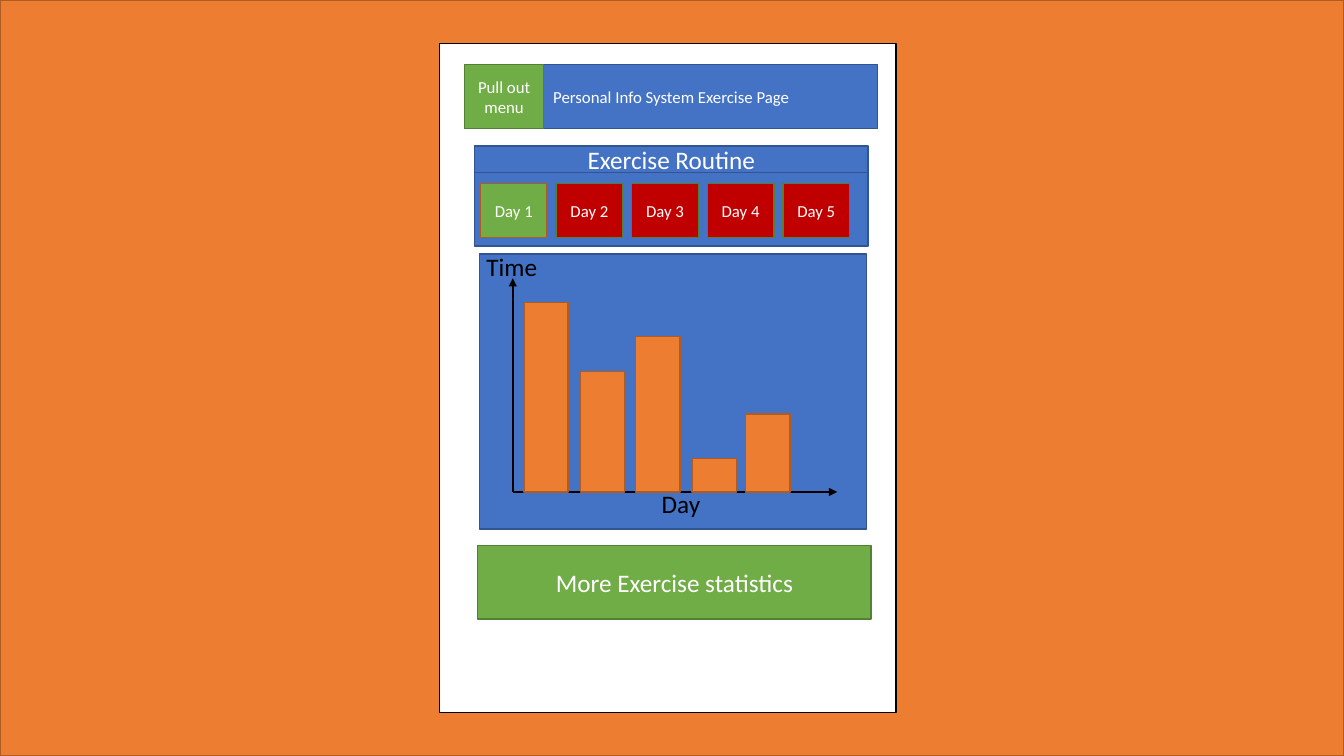
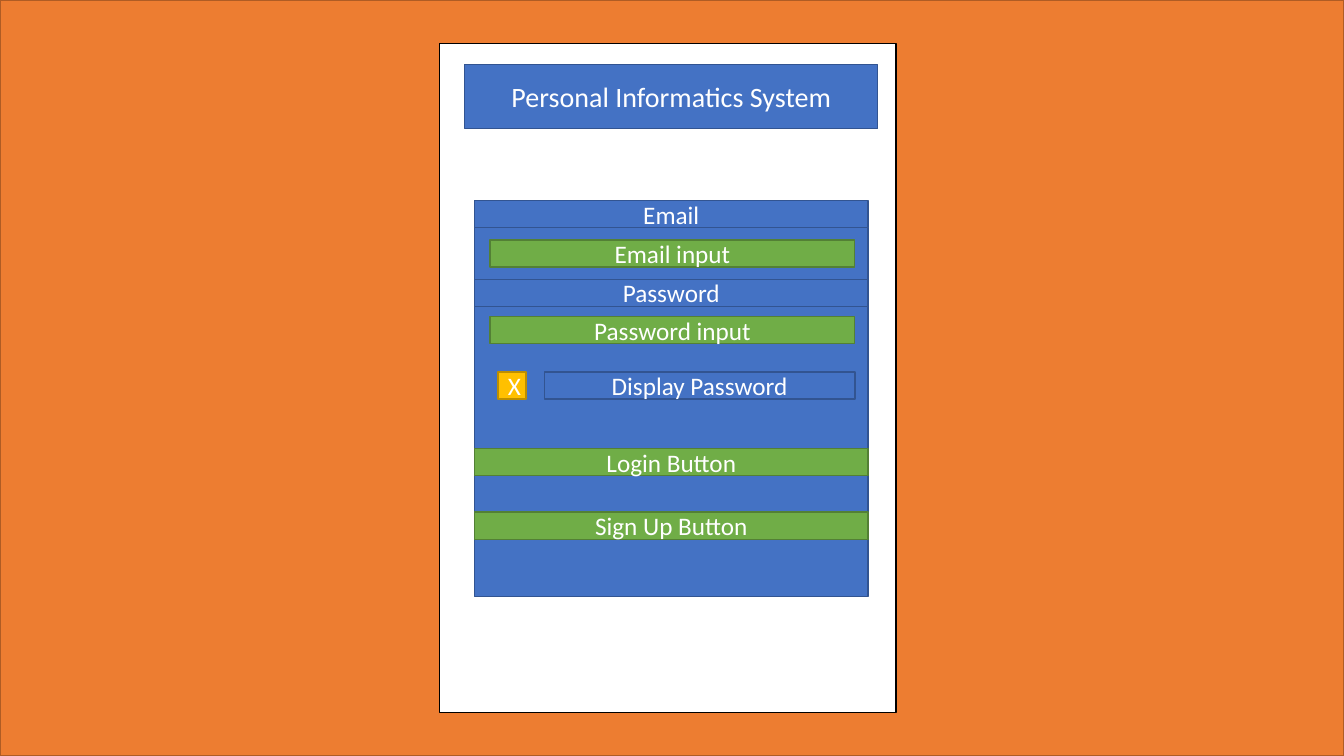
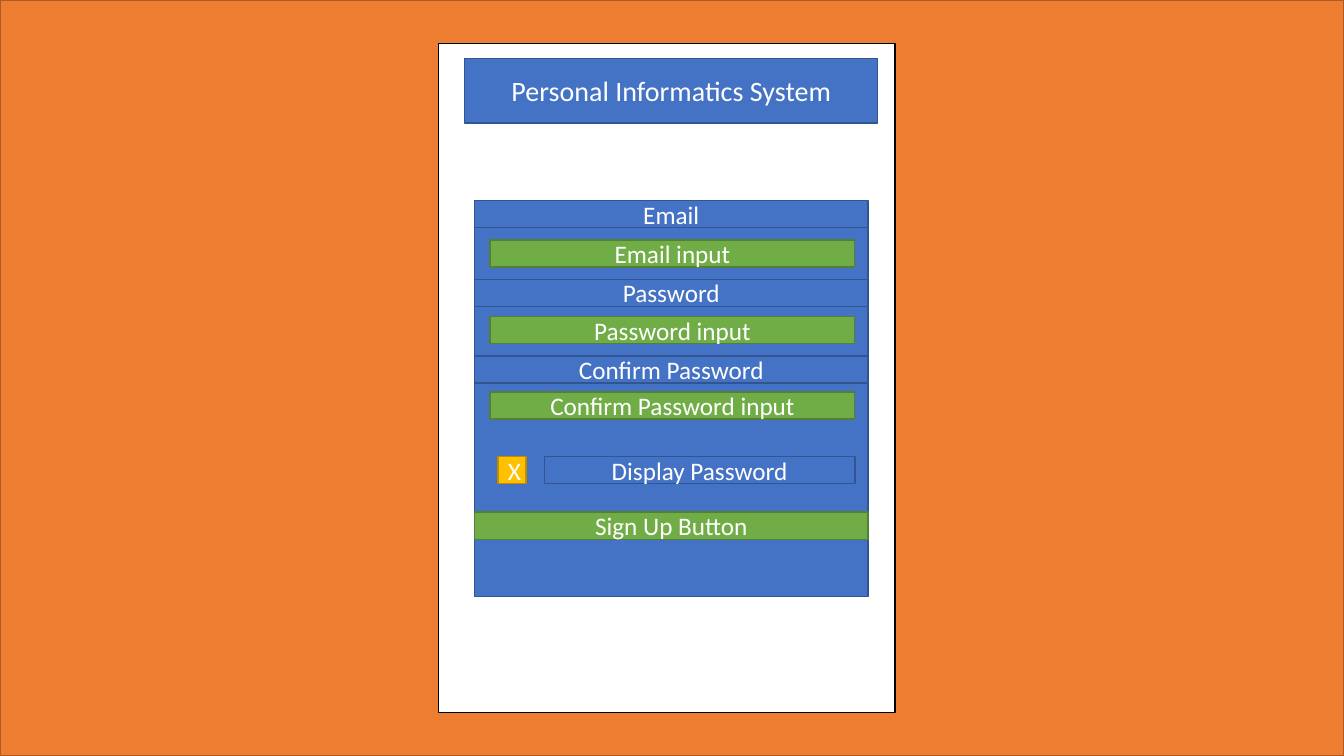
from lxml.etree import SubElement
from pptx import Presentation
from pptx.dml.color import RGBColor
from pptx.enum.shapes import MSO_CONNECTOR, MSO_SHAPE
from pptx.enum.text import MSO_ANCHOR, PP_ALIGN
from pptx.oxml.ns import qn
from pptx.util import Pt

FONT = "Calibri"
WHITE, BLACK = "FFFFFF", "000000"
ORANGE = ("ED7D31", "AF5C24")
BLUE = ("4472C4", "325491")
GREEN = ("70AD47", "538035")
GOLD = ("FFC000", "BD8E00")
PAPER = (WHITE, BLACK)
DAY_DONE = (GREEN[0], ORANGE[1])
DAY_OPEN = ("C00000", GREEN[1])

SLIDE_WIDTH, SLIDE_HEIGHT = 960, 540
PHONE_TOP, PHONE_WIDTH, PHONE_HEIGHT = 31, 326, 478
HEADER_LEFT, HEADER_WIDTH, HEADER_HEIGHT = 332, 295, 46
PANEL_LEFT, PANEL_WIDTH, ROW_HEIGHT = 339, 281, 19.4
FORM_BOX = (PANEL_LEFT, 143.3, PANEL_WIDTH, 283)

BARS = [(31.7, 135.4), (72, 86), (111.6, 110.9), (151.9, 23.8), (190.1, 55.8)]
FIELDS = [
    ("Email", 0, 28.1),
    ("Password", 56.2, 82.8),
    ("Confirm Password", 110.9, 136.8),
]


def color(hex_string):
    return RGBColor.from_string(hex_string)


def write(paragraph, text, size, ink):
    run = paragraph.add_run()
    run.text = text
    run.font.name = FONT
    run.font.size = Pt(size)
    run.font.color.rgb = color(ink)


def block(slide, box, colors, text="", size=18):
    shape = slide.shapes.add_shape(MSO_SHAPE.RECTANGLE, *map(Pt, box))
    shape.shadow.inherit = False
    fill, outline = colors
    shape.fill.solid()
    shape.fill.fore_color.rgb = color(fill)
    shape.line.color.rgb = color(outline)
    shape.line.width = Pt(1)
    if text:
        frame = shape.text_frame
        frame.word_wrap = True
        frame.vertical_anchor = MSO_ANCHOR.MIDDLE
        frame.paragraphs[0].alignment = PP_ALIGN.CENTER
        write(frame.paragraphs[0], text, size, WHITE)


def axis_label(slide, box, text):
    frame = slide.shapes.add_textbox(*map(Pt, box)).text_frame
    frame.word_wrap = True
    write(frame.paragraphs[0], text, 18, BLACK)


def axis(slide, start, end):
    arrow = slide.shapes.add_connector(
        MSO_CONNECTOR.STRAIGHT, *map(Pt, (*start, *end)))
    arrow.line.color.rgb = color(BLACK)
    arrow.line.width = Pt(1.5)
    SubElement(arrow.line._get_or_add_ln(), qn("a:tailEnd"), type="triangle")
    SubElement(arrow._element.spPr, qn("a:effectLst"))


def phone_page(deck, title, title_size, header_top=46, phone_left=314):
    slide = deck.slides.add_slide(deck.slide_layouts[6])
    block(slide, (0, 0, SLIDE_WIDTH, SLIDE_HEIGHT), ORANGE)
    block(slide, (phone_left, PHONE_TOP, PHONE_WIDTH, PHONE_HEIGHT), PAPER)
    block(slide, (HEADER_LEFT, header_top, HEADER_WIDTH, HEADER_HEIGHT),
          BLUE, title, title_size)
    return slide


def routine_panel(slide, box):
    left, top, width, height = box
    block(slide, (left, top, width, ROW_HEIGHT), BLUE, "Exercise Routine")
    block(slide, (left, top + 18.8, width, height - 18.8), BLUE)
    for index in range(5):
        day_box = (left + 4.3 + 54 * index, top + 26.6, 47.5, 38.9)
        block(slide, day_box, DAY_OPEN if index else DAY_DONE,
              f"Day {index + 1}", 12)


def time_graph(slide, box):
    left, top, width, height = box
    block(slide, box, BLUE)
    origin = (left + 23.8, top + 170)
    axis(slide, origin, (origin[0], top + 17.3))
    axis(slide, origin, (left + 255.6, origin[1]))
    axis_label(slide, (left - 2.1, top - 5.7, 79.2, 28.8), "Time")
    axis_label(slide, (left + 123.1, top + 164.2, 64.8, 28.8), "Day")
    for offset, bar_height in BARS:
        block(slide, (left + offset, origin[1] - bar_height, 31.7, bar_height),
              ORANGE)


def account_form(slide, box, fields, display_top, buttons):
    left, top, width, height = box

    def row(indent, offset, row_width, colors, text):
        block(slide, (left + indent, top + offset, row_width, ROW_HEIGHT),
              colors, text)

    block(slide, (left, top + ROW_HEIGHT, width, height - ROW_HEIGHT), BLUE)
    for name, name_top, input_top in fields:
        row(0, name_top, width, BLUE, name)
        row(11, input_top, 260.6, GREEN, f"{name} input")
    row(16.6, display_top, 20.2, GOLD, "X")
    row(49.8, display_top, 221.8, BLUE, "Display Password")
    for name, button_top in buttons:
        row(0, button_top, width, GREEN, f"{name} Button")


def exercise_slide(deck):
    slide = phone_page(deck, "Personal Info System Exercise Page", 12)
    block(slide, (HEADER_LEFT, 46, 56.2, HEADER_HEIGHT), GREEN,
          "Pull out menu", 12)
    routine_panel(slide, (PANEL_LEFT, 104.4, PANEL_WIDTH, 71.3))
    time_graph(slide, (342.5, 181.4, 276.5, 196.6))
    block(slide, (341.3, 389.5, PANEL_WIDTH, 52.6), GREEN,
          "More Exercise statistics")


def login_slide(deck):
    slide = phone_page(deck, "Personal Informatics System", 20)
    account_form(slide, FORM_BOX, FIELDS[:2], 122.4,
                 [("Login", 177.1), ("Sign Up", 222.5)])


def sign_up_slide(deck):
    slide = phone_page(deck, "Personal Informatics System", 20,
                       header_top=41.8, phone_left=313.4)
    account_form(slide, FORM_BOX, FIELDS, 182.9, [("Sign Up", 222.5)])


def main():
    deck = Presentation()
    deck.slide_width, deck.slide_height = Pt(SLIDE_WIDTH), Pt(SLIDE_HEIGHT)
    exercise_slide(deck)
    login_slide(deck)
    sign_up_slide(deck)
    deck.save("out.pptx")


if __name__ == "__main__":
    main()
